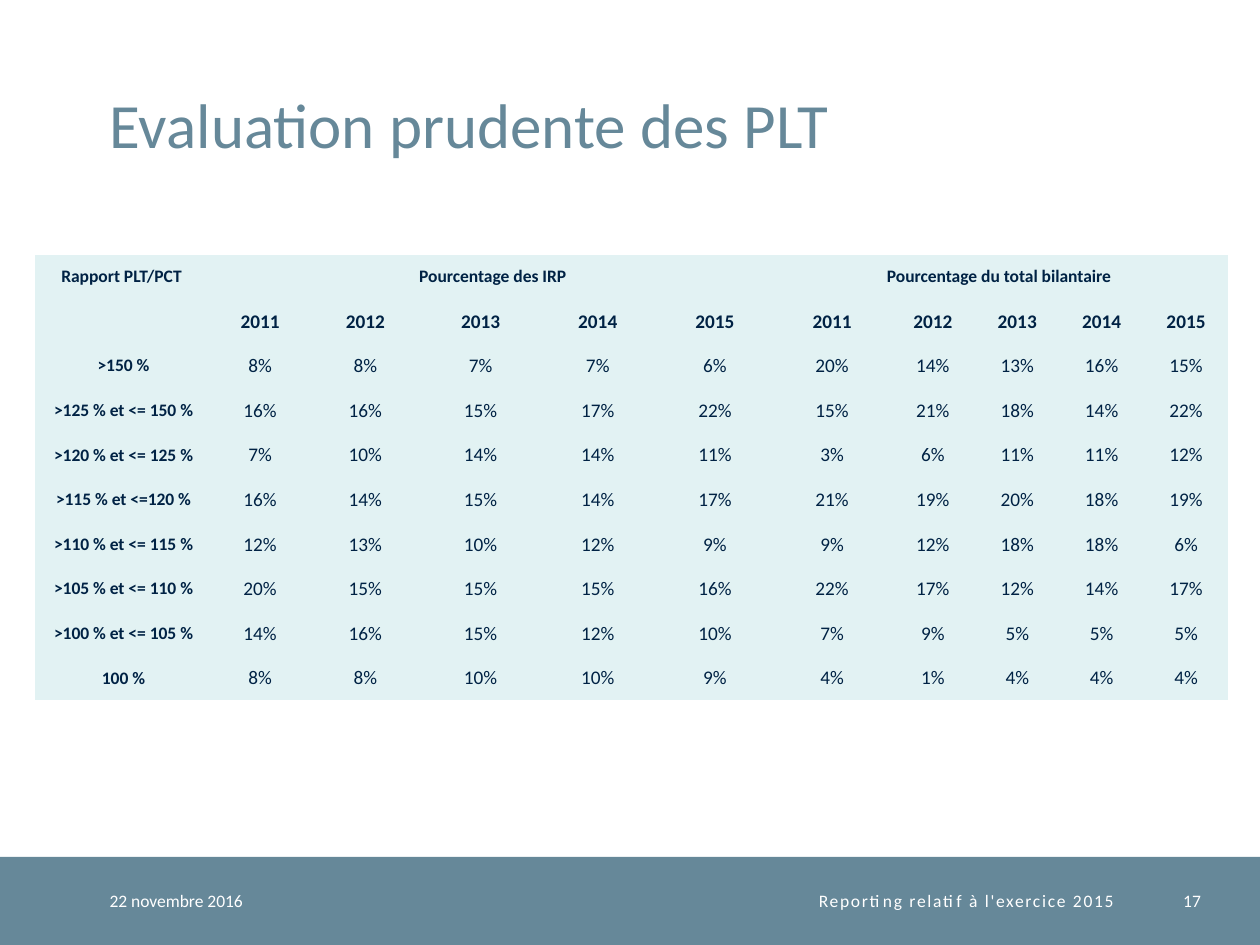
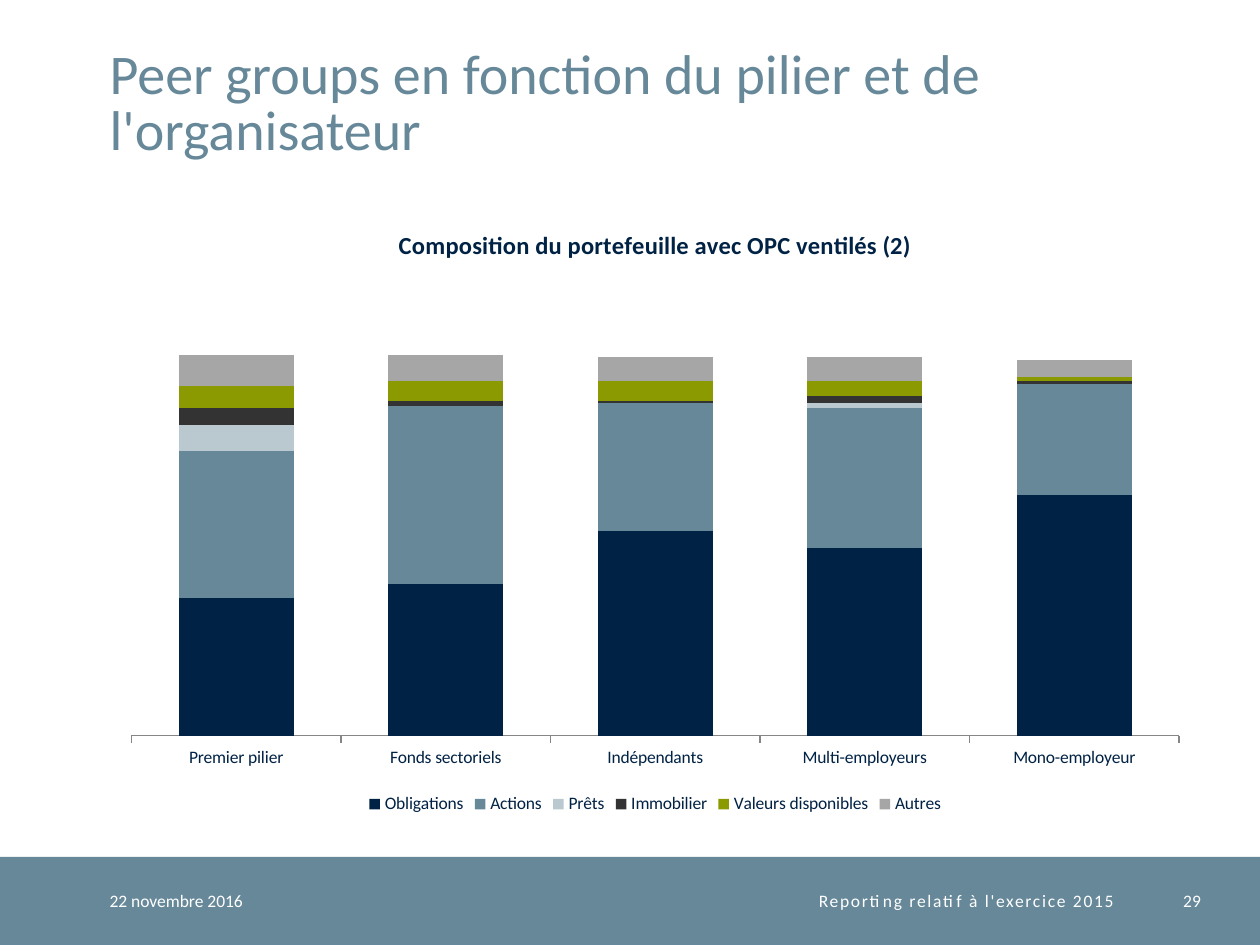
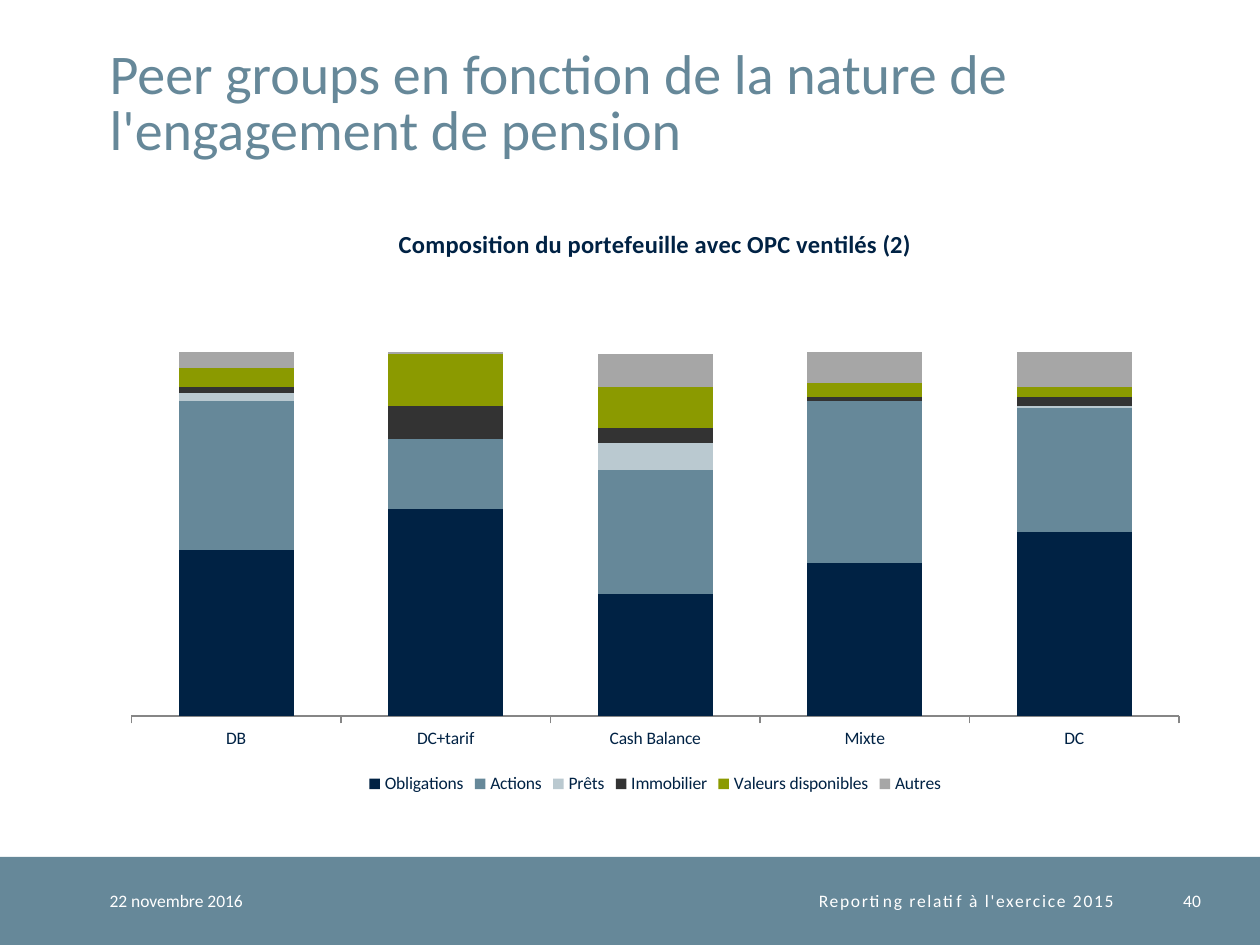
from dataclasses import dataclass

from pptx import Presentation
from pptx import util as u
from pptx.chart.data import CategoryChartData
from pptx.dml.color import RGBColor
from pptx.enum import chart as ch, shapes, text
from pptx.oxml.ns import qn


@dataclass(frozen=True)
class Theme:
    font: str = "Calibri"
    ink: str = "002244"
    slate: str = "668899"
    white: str = "FFFFFF"
    ice: str = "E2F2F3"
    axis: str = "868686"
    small: int = 10
    cell: int = 11
    head: int = 14
    lead: int = 32
    large: int = 36


T = Theme()
WIDE, HIGH = 10, 7.5
LEFT, BAND = 0.87, 6.8
PLIS = "{2D5ABB26-0587-4C30-8999-92F81FD0307C}"

DATE = "22 novembre 2016"
NOTE = "Reporting relatif à l'exercice 2015"
YEARS = ["2011", "2012", "2013", "2014", "2015"]
GROUPS = ["Pourcentage des IRP", "Pourcentage du total bilantaire "]
CORNER = "Rapport PLT/PCT "
RATES = [
    (">150 %", [8, 8, 7, 7, 6, 20, 14, 13, 16, 15]),
    (">125 % et <= 150 %", [16, 16, 15, 17, 22, 15, 21, 18, 14, 22]),
    (">120 % et <= 125 %", [7, 10, 14, 14, 11, 3, 6, 11, 11, 12]),
    (">115 % et <=120 %", [16, 14, 15, 14, 17, 21, 19, 20, 18, 19]),
    (">110 % et <= 115 %", [12, 13, 10, 12, 9, 9, 12, 18, 18, 6]),
    (">105 % et <= 110 %", [20, 15, 15, 15, 16, 22, 17, 12, 14, 17]),
    (">100 % et <= 105 %", [14, 16, 15, 12, 10, 7, 9, 5, 5, 5]),
    ("100 %", [8, 8, 10, 10, 9, 4, 1, 4, 4, 4]),
]
COLS = [1.4, 0.77, 0.9] + [0.93] * 4 + [0.67] * 4
ROW = 0.354

MIX = "Composition du portefeuille avec OPC ventilés (2)"
ASSETS = [
    ("Obligations", T.ink),
    ("Actions", T.slate),
    ("Prêts", "BAC9D0"),
    ("Immobilier", "333333"),
    ("Valeurs disponibles", "8B9A00"),
    ("Autres", "A6A6A6"),
]
PEERS = [
    dict(
        title="Peer groups en fonction du pilier et de l'organisateur",
        page="29",
        tall=4.88,
        cats=["Premier pilier", "Fonds sectoriels", "Indépendants",
              "Multi-employeurs", "Mono-employeur"],
        vals=[[57, 63, 85, 78, 100], [61, 74, 53, 58, 46], [11, 0, 0, 2, 0],
              [7, 2, 1, 3, 1], [9, 8, 8, 6, 2], [13, 11, 10, 10, 7]],
    ),
    dict(
        title="Peer groups en fonction de la nature de l'engagement de pension",
        page="40",
        tall=4.72,
        cats=["DB", "DC+tarif", "Cash Balance", "Mixte", "DC"],
        vals=[[80, 100, 59, 74, 89], [72, 34, 60, 78, 60], [4, 0, 13, 0, 1],
              [3, 16, 7, 2, 4], [9, 25, 20, 7, 5], [8, 1, 16, 15, 17]],
    ),
]


def box(*nums):
    return [u.Inches(n) for n in nums]


def paint(fill, hue):
    fill.solid()
    fill.fore_color.rgb = RGBColor.from_string(hue)


def style(font, size, hue=T.ink, bold=False):
    font.name, font.size, font.bold = T.font, u.Pt(size), bold
    font.color.rgb = RGBColor.from_string(hue)


def write(frame, words, size=T.small, hue=T.ink, bold=False, side="LEFT",
          track=0, lead=None):
    para = frame.paragraphs[0]
    para.alignment = getattr(text.PP_ALIGN, side)
    if lead:
        para.line_spacing = u.Pt(lead)
    run = para.add_run()
    run.text = words
    style(run.font, size, hue, bold)
    if track:
        run.font._element.set("spc", str(track * 100))


def bare(part):
    part.margin_left = part.margin_right = part.margin_top = part.margin_bottom = 0
    part.vertical_anchor = text.MSO_ANCHOR.MIDDLE


def label(slide, left, wide, words, **form):
    frame = slide.shapes.add_textbox(*box(left, BAND, wide, HIGH - BAND)).text_frame
    bare(frame)
    frame.word_wrap = True
    write(frame, words, hue=T.white, **form)


def add_band(slide):
    band = slide.shapes.add_shape(
        shapes.MSO_SHAPE.RECTANGLE, *box(0, BAND, WIDE, HIGH - BAND))
    band.shadow.inherit = False
    paint(band.fill, T.slate)
    band.line.fill.background()
    slide.slide_layout.shapes.element.append(band.element)


def add_page(deck, title, page, size):
    slide = deck.slides.add_slide(deck.slide_layouts[5])
    if len(deck.slides) == 1:
        add_band(slide)
    head = slide.shapes.title
    head.left, head.top, head.width, head.height = box(LEFT, 0.2, 8.63, 1.08)
    frame = head.text_frame
    bare(frame)
    frame.vertical_anchor = text.MSO_ANCHOR.BOTTOM
    frame.auto_size = text.MSO_AUTO_SIZE.NONE
    write(frame, title, size=size, hue=T.slate, lead=T.lead)
    label(slide, LEFT, 1.77, DATE)
    label(slide, 2.64, 6.2, NOTE, side="RIGHT", track=1)
    label(slide, 9.04, 0.49, page, side="RIGHT")
    return slide


def add_rates(slide):
    rows = [[CORNER, GROUPS[0], *[""] * 4, GROUPS[1], *[""] * 4],
            ["", *YEARS * 2]]
    rows += [[name, *(f"{n}%" for n in nums)] for name, nums in RATES]
    frame = slide.shapes.add_table(
        len(rows), len(COLS), *box(0.28, 2.02, sum(COLS), ROW * len(rows)))
    for tag in frame.element.iter(qn("a:tableStyleId")):
        tag.text = PLIS
    grid = frame.table
    grid.first_row = grid.horz_banding = False
    for col, wide in zip(grid.columns, COLS):
        col.width = u.Inches(wide)
    for r, row in enumerate(rows):
        grid.rows[r].height = u.Inches(ROW)
        for c, words in enumerate(row):
            cell = grid.cell(r, c)
            bare(cell)
            paint(cell.fill, T.ice)
            if words:
                size = T.small if r == 0 or c == 0 else T.cell
                write(cell.text_frame, words, size=size,
                      bold=r < 2 or c == 0, side="CENTER")
    for c in (1, 6):
        grid.cell(0, c).merge(grid.cell(0, c + 4))


def add_mix(slide, cats, vals, tall):
    data = CategoryChartData(number_format="General")
    data.categories = cats
    for (name, _), nums in zip(ASSETS, vals):
        data.add_series(name, nums)
    chart = slide.shapes.add_chart(
        ch.XL_CHART_TYPE.COLUMN_STACKED, *box(LEFT, 1.62, 8.66, tall), data).chart
    style(chart.font, T.small)
    chart.has_title = True
    write(chart.chart_title.text_frame, MIX, size=T.head, bold=True, side="CENTER")
    chart.chart_title.include_in_layout = False
    chart.has_legend = True
    chart.legend.position = ch.XL_LEGEND_POSITION.BOTTOM
    chart.legend.include_in_layout = False
    axis = chart.value_axis
    axis.visible = axis.has_major_gridlines = False
    axis.minimum_scale = 0
    axis.maximum_scale = round(1.2 * sum(map(sum, vals)) / len(cats))
    base = chart.category_axis
    base.major_tick_mark = ch.XL_TICK_MARK.OUTSIDE
    base.format.line.color.rgb = RGBColor.from_string(T.axis)
    plot = chart.plots[0]
    plot.gap_width, plot.overlap, plot.vary_by_categories = 82, 100, False
    for part, (_, hue) in zip(plot.series, ASSETS):
        paint(part.format.fill, hue)


def main():
    deck = Presentation()
    deck.slide_width, deck.slide_height = box(WIDE, HIGH)
    add_rates(add_page(deck, "Evaluation prudente des PLT", "17", T.large))
    for peer in PEERS:
        slide = add_page(deck, peer["title"], peer["page"], T.lead)
        add_mix(slide, peer["cats"], peer["vals"], peer["tall"])
    deck.save("out.pptx")


if __name__ == "__main__":
    main()
